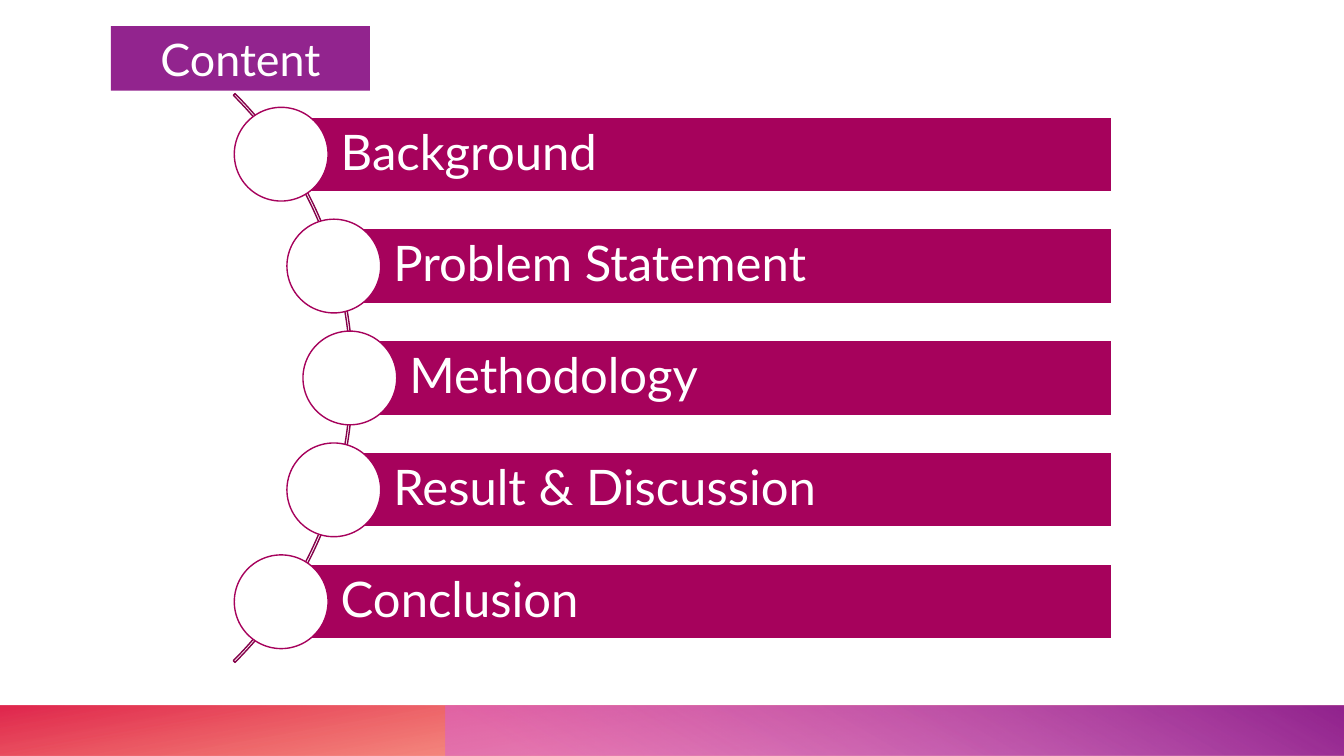
from math import sqrt

from lxml.etree import SubElement
from pptx import Presentation
from pptx.dml.color import RGBColor
from pptx.enum.shapes import MSO_SHAPE
from pptx.enum.text import MSO_ANCHOR, MSO_AUTO_SIZE, PP_ALIGN
from pptx.oxml.ns import qn
from pptx.util import Inches, Pt

WHITE = "FFFFFF"
MAGENTA = "A6025C"
PLUM = "85024A"
PURPLE = "92248E"
TOPICS = ["Background", "Problem Statement", "Methodology", "Result & Discussion", "Conclusion"]


def color(value):
    return RGBColor.from_string(value)


def write(shape, text, size, align=PP_ALIGN.LEFT, left_inset=0.1, inset=0.1, spacing=1.0):
    frame = shape.text_frame
    frame.word_wrap = True
    frame.auto_size = MSO_AUTO_SIZE.NONE
    frame.vertical_anchor = MSO_ANCHOR.MIDDLE
    frame.margin_left = Inches(left_inset)
    frame.margin_right = Inches(0.1)
    frame.margin_top = frame.margin_bottom = Inches(inset)
    paragraph = frame.paragraphs[0]
    paragraph.alignment = align
    paragraph.line_spacing = spacing
    run = paragraph.add_run()
    run.text = text
    run.font.name = "Lato"
    run.font.size = Pt(size)
    run.font.color.rgb = color(WHITE)


def add_form(slide, preset, left, top, width, height, fill=None, line=None):
    form = slide.shapes.add_shape(preset, Inches(left), Inches(top), Inches(width), Inches(height))
    form.shadow.inherit = False
    if fill:
        form.fill.solid()
        form.fill.fore_color.rgb = color(fill)
    else:
        form.fill.background()
    if line:
        form.line.color.rgb = color(line)
        form.line.width = Pt(1)
    else:
        form.line.fill.background()
    return form


def add_band(slide, left, top, width, height, stops, angle, rotation=0):
    band = add_form(slide, MSO_SHAPE.RECTANGLE, left, top, width, height)
    band.rotation = rotation
    band._element.spPr.find(qn("a:xfrm")).set("flipH", "1")
    band.fill.gradient()
    band.fill.gradient_angle = 360 - angle
    for stop, (position, hue, _) in zip(band.fill.gradient_stops, stops):
        stop.position = position
        stop.color.rgb = color(hue)
    for hue_element, (_, _, opacity) in zip(band._element.spPr.iter(qn("a:srgbClr")), stops):
        SubElement(hue_element, qn("a:alpha"), val=str(opacity * 1000))


def add_footer(slide, left, top, width, height):
    add_band(slide, left, top, width, height,
             [(0.14, "FE4A00", 28), (1, "DA002F", 85)], 100, rotation=180)
    red_width = 4.42
    add_band(slide, left + red_width, top, width - red_width, height,
             [(0.09, "D861D4", 55), (0.99, PURPLE, 100)], 240)


def add_heading(slide, left, top, width, height):
    heading = slide.shapes.title
    heading.left, heading.top = Inches(left), Inches(top)
    heading.width, heading.height = Inches(width), Inches(height)
    heading.fill.solid()
    heading.fill.fore_color.rgb = color(PURPLE)
    write(heading, "Content", 32, align=PP_ALIGN.CENTER, inset=0.05)


def add_agenda(slide, arc_left, arc_top, arc_size, right):
    arc = add_form(slide, MSO_SHAPE.BLOCK_ARC, arc_left, arc_top, arc_size, arc_size, line=PLUM)
    for index, adjustment in enumerate((189, 27, 0.003)):
        arc.adjustments[index] = adjustment

    center_x, center_y = arc_left + arc_size / 2, arc_top + arc_size / 2
    radius = arc_size / 2 - 0.03
    pitch, bar_height, circle_size = 1.11, 0.74, 0.93
    for index, topic in enumerate(TOPICS):
        offset = (index - (len(TOPICS) - 1) / 2) * pitch
        x = center_x + sqrt(radius ** 2 - offset ** 2)
        y = center_y + offset
        bar = add_form(slide, MSO_SHAPE.RECTANGLE, x, y - bar_height / 2,
                       right - x, bar_height, fill=MAGENTA, line=WHITE)
        write(bar, topic, 35, left_inset=0.59, spacing=0.9)
        add_form(slide, MSO_SHAPE.OVAL, x - circle_size / 2, y - circle_size / 2,
                 circle_size, circle_size, fill=WHITE, line=MAGENTA)


def main():
    deck = Presentation()
    deck.slide_width, deck.slide_height = Inches(13.33), Inches(7.5)
    slide = deck.slides.add_slide(deck.slide_layouts[5])
    add_footer(slide, 0, 7, 13.33, 0.5)
    add_agenda(slide, -4.48, -0.24, 7.98, 11.03)
    add_heading(slide, 1.1, 0.26, 2.57, 0.64)
    deck.save("out.pptx")


if __name__ == "__main__":
    main()
